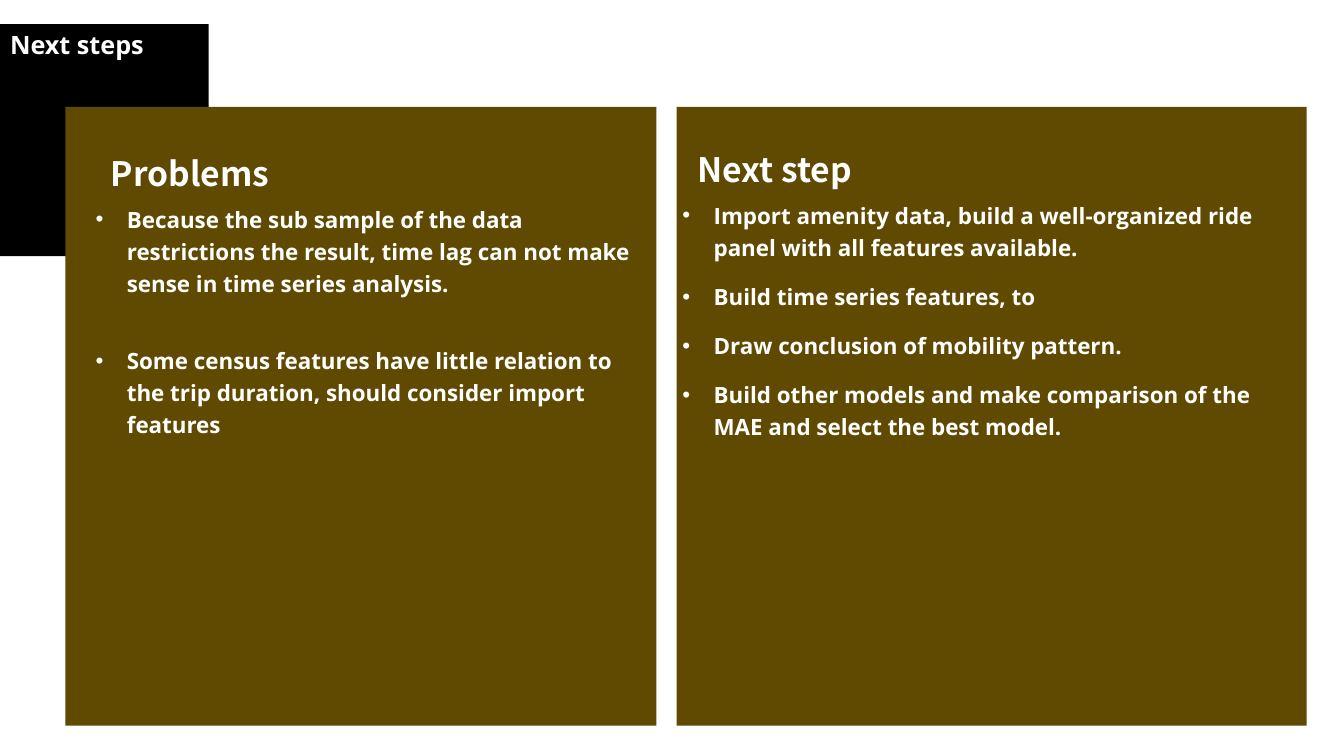
"""Build the "Next steps" slide: two panels with problems and planned work."""
from pptx import Presentation
from pptx import util as u
from pptx.dml.color import RGBColor
from pptx.enum import shapes, text
from pptx.oxml.ns import qn
from lxml import etree

COLORS = {"panel": "604900", "label": "000000", "text": "FFFFFF"}
BODY, HEADING = "Open Sans", "Noto Sans CJK SC"
INDENT = 0.31

TITLE = ("Next steps", (0, 0.24, 2.07, 0.4))
PANELS = [
    {
        "box": (0.65, 1.06, 5.86, 6.14),
        "heading": ("Problems", (1, 1.27, 4.86, 0.64)),
        "lists": [
            ((0.85, 1.94, 5.61, 1.05), [
                "Because the sub sample of the data restrictions the result, "
                "time lag can not make sense in time series analysis."]),
            ((0.85, 3.34, 5.61, 0.72), [
                "Some census features have little relation to the trip duration, "
                "should consider import features"]),
        ],
    },
    {
        "box": (6.71, 1.06, 6.25, 6.14),
        "heading": ("Next step", (6.82, 1.23, 5.61, 0.64)),
        "lists": [
            ((6.67, 1.9, 6.17, 2.52), [
                "Import amenity data, build a well-organized ride panel "
                "with all features available.",
                "Build time series features, to",
                "Draw conclusion of mobility pattern.",
                "Build other models and make comparison of the MAE "
                "and select the best model."]),
        ],
    },
]


def inches(box):
    return [u.Inches(v) for v in box]


def fill(sp, color):
    sp.fill.solid()
    sp.fill.fore_color.rgb = RGBColor.from_string(COLORS[color])


def add_run(p, words, size, font):
    r = p.add_run()
    r.text = words
    r.font.size, r.font.name, r.font.bold = u.Pt(size), font, True
    r.font.color.rgb = RGBColor.from_string(COLORS["text"])


def add_textbox(s, box):
    tf = s.shapes.add_textbox(*inches(box)).text_frame
    tf.word_wrap = True
    tf.auto_size = text.MSO_AUTO_SIZE.SHAPE_TO_FIT_TEXT
    return tf


def add_bullets(s, box, items):
    tf = add_textbox(s, box)
    for i, item in enumerate(items):
        p = tf.add_paragraph() if i else tf.paragraphs[0]
        p.line_spacing = 1.2
        if i:
            p.space_before = u.Pt(12)
        pPr = p._p.get_or_add_pPr()
        pPr.set("marL", str(u.Inches(INDENT)))
        pPr.set("indent", str(-u.Inches(INDENT)))
        etree.SubElement(pPr, qn("a:buFont"), typeface="Arial")
        etree.SubElement(pPr, qn("a:buChar"), char="•")
        add_run(p, item, 16, BODY)


def add_title(s):
    words, box = TITLE
    sp = s.shapes.title
    sp.left, sp.top, sp.width, sp.height = inches(box)
    fill(sp, "label")
    tf = sp.text_frame
    tf.word_wrap = True
    tf.auto_size = text.MSO_AUTO_SIZE.SHAPE_TO_FIT_TEXT
    tf.vertical_anchor = text.MSO_ANCHOR.TOP
    p = tf.paragraphs[0]
    p.alignment = text.PP_ALIGN.LEFT
    add_run(p, words, 18, BODY)


def add_panel(s, panel):
    sp = s.shapes.add_shape(shapes.MSO_SHAPE.RECTANGLE, *inches(panel["box"]))
    sp.shadow.inherit = False
    fill(sp, "panel")
    sp.line.fill.background()
    words, box = panel["heading"]
    p = add_textbox(s, box).paragraphs[0]
    p.line_spacing = 1.5
    add_run(p, words, 24, HEADING)
    for box, items in panel["lists"]:
        add_bullets(s, box, items)


def main():
    prs = Presentation()
    prs.slide_width, prs.slide_height = inches((13.33, 7.5))
    s = prs.slides.add_slide(prs.slide_layouts[5])
    add_title(s)
    for panel in PANELS:
        add_panel(s, panel)
    prs.save("out.pptx")


if __name__ == "__main__":
    main()
